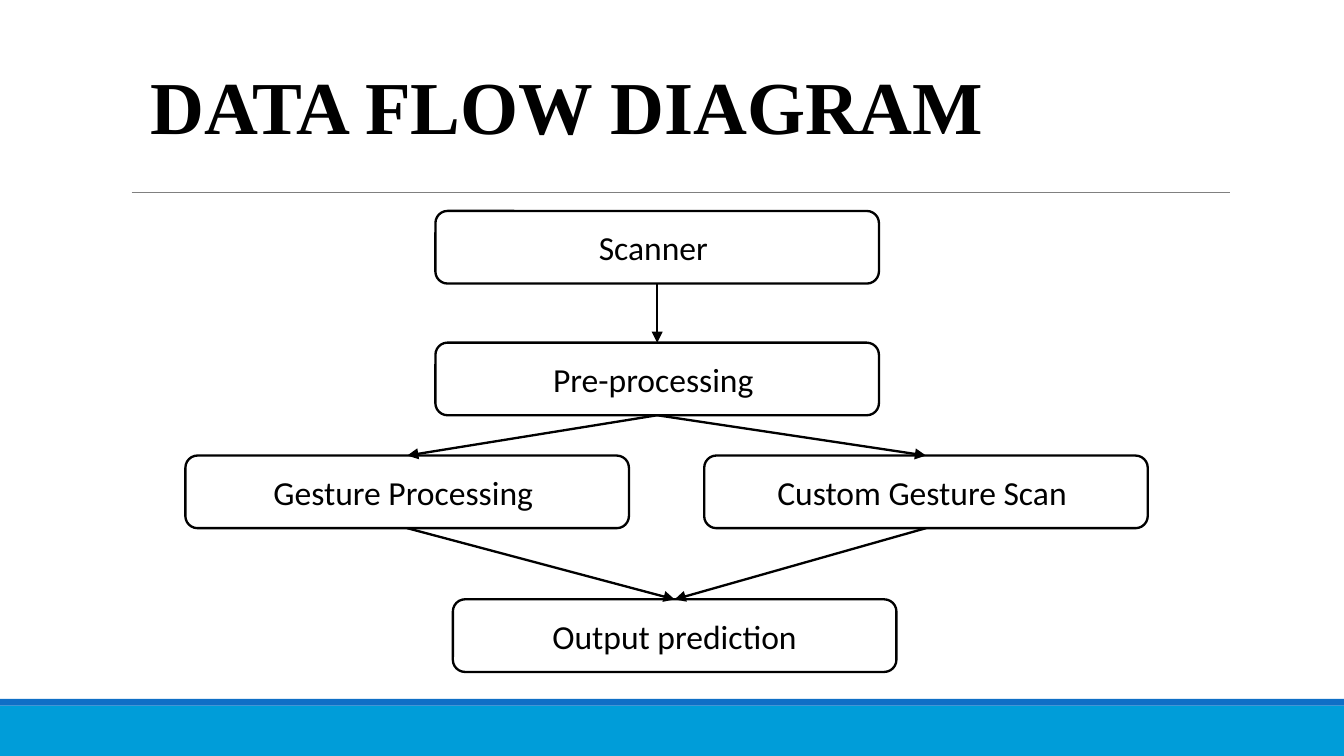
from lxml.etree import SubElement
from pptx import Presentation
from pptx.dml.color import RGBColor
from pptx.enum.shapes import MSO_CONNECTOR, MSO_SHAPE
from pptx.enum.text import MSO_ANCHOR, PP_ALIGN
from pptx.oxml.ns import qn
from pptx.util import Inches, Pt

COLORS = {
    "black": "000000",
    "white": "FFFFFF",
    "rule": "808080",
    "footer": "009DD9",
    "footer edge": "0F6FC6",
}
BOX_WIDTH, BOX_HEIGHT = 3.3, 0.54
TOP, BOTTOM = 0, 2  # connection sites of a rounded rectangle

# Step key: label, left and top of its box
STEPS = {
    "scanner": ("Scanner ", 3.24, 1.57),
    "pre-processing": ("Pre-processing ", 3.24, 2.55),
    "gesture": ("Gesture Processing ", 1.38, 3.39),
    "custom": ("Custom Gesture Scan ", 5.24, 3.39),
    "output": ("Output prediction", 3.37, 4.46),
}
FLOWS = [
    ("scanner", "pre-processing"),
    ("pre-processing", "gesture"),
    ("pre-processing", "custom"),
    ("gesture", "output"),
    ("custom", "output"),
]


def color(name):
    return RGBColor.from_string(COLORS[name])


def style_text(paragraph, font_name, size, bold=False):
    font = paragraph.font
    font.name, font.size, font.bold = font_name, Pt(size), bold
    font.color.rgb = color("black")


def add_block(slide, kind, left, top, width, height, fill):
    shape = slide.shapes.add_shape(
        kind, Inches(left), Inches(top), Inches(width), Inches(height))
    shape.shadow.inherit = False
    shape.fill.solid()
    shape.fill.fore_color.rgb = color(fill)
    shape.line.fill.background()
    return shape


def add_step(slide, text, left, top):
    shape = add_block(slide, MSO_SHAPE.ROUNDED_RECTANGLE,
                      left, top, BOX_WIDTH, BOX_HEIGHT, "white")
    shape.line.color.rgb = color("black")
    shape.line.width = Pt(1.25)
    frame = shape.text_frame
    frame.word_wrap = True
    frame.vertical_anchor = MSO_ANCHOR.MIDDLE
    frame.margin_left = frame.margin_right = Inches(0.1)
    frame.margin_top = frame.margin_bottom = Inches(0.1)
    paragraph = frame.paragraphs[0]
    paragraph.text = text
    paragraph.alignment = PP_ALIGN.CENTER
    style_text(paragraph, "Calibri", 18)
    return shape


def add_line(slide, start, end, line_color, width):
    connector = slide.shapes.add_connector(
        MSO_CONNECTOR.STRAIGHT, *map(Inches, start + end))
    connector.line.color.rgb = color(line_color)
    connector.line.width = Pt(width)
    SubElement(connector._element.spPr, qn("a:effectLst"))
    return connector


def add_flow(slide, source, target):
    connector = add_line(slide, (0, 0), (0, 0), "black", 1.25)
    connector.begin_connect(source, BOTTOM)
    connector.end_connect(target, TOP)
    SubElement(connector.line._get_or_add_ln(), qn("a:tailEnd"), type="triangle")


def add_title(slide, text):
    box = slide.shapes.add_textbox(
        Inches(0.87), Inches(0.4), Inches(6.62), Inches(0.77))
    frame = box.text_frame
    frame.word_wrap = True
    frame.margin_left = Inches(0.25)
    paragraph = frame.paragraphs[0]
    paragraph.text = text
    style_text(paragraph, "Times New Roman", 40, bold=True)


def main():
    presentation = Presentation()
    presentation.slide_width = Inches(10)
    presentation.slide_height = Inches(10) * 9 // 16
    slide = presentation.slides.add_slide(presentation.slide_layouts[6])

    # Footer bands and rule under the title
    add_block(slide, MSO_SHAPE.RECTANGLE, 0, 5.25, 10, 0.38, "footer")
    add_block(slide, MSO_SHAPE.RECTANGLE, 0, 5.2, 10, 0.05, "footer edge")
    add_line(slide, (0.98, 1.43), (9.15, 1.43), "rule", 0.5)

    # Flow diagram
    boxes = {key: add_step(slide, *step) for key, step in STEPS.items()}
    for source, target in FLOWS:
        add_flow(slide, boxes[source], boxes[target])

    # Title
    add_title(slide, "DATA FLOW DIAGRAM")

    presentation.save("out.pptx")


if __name__ == "__main__":
    main()
